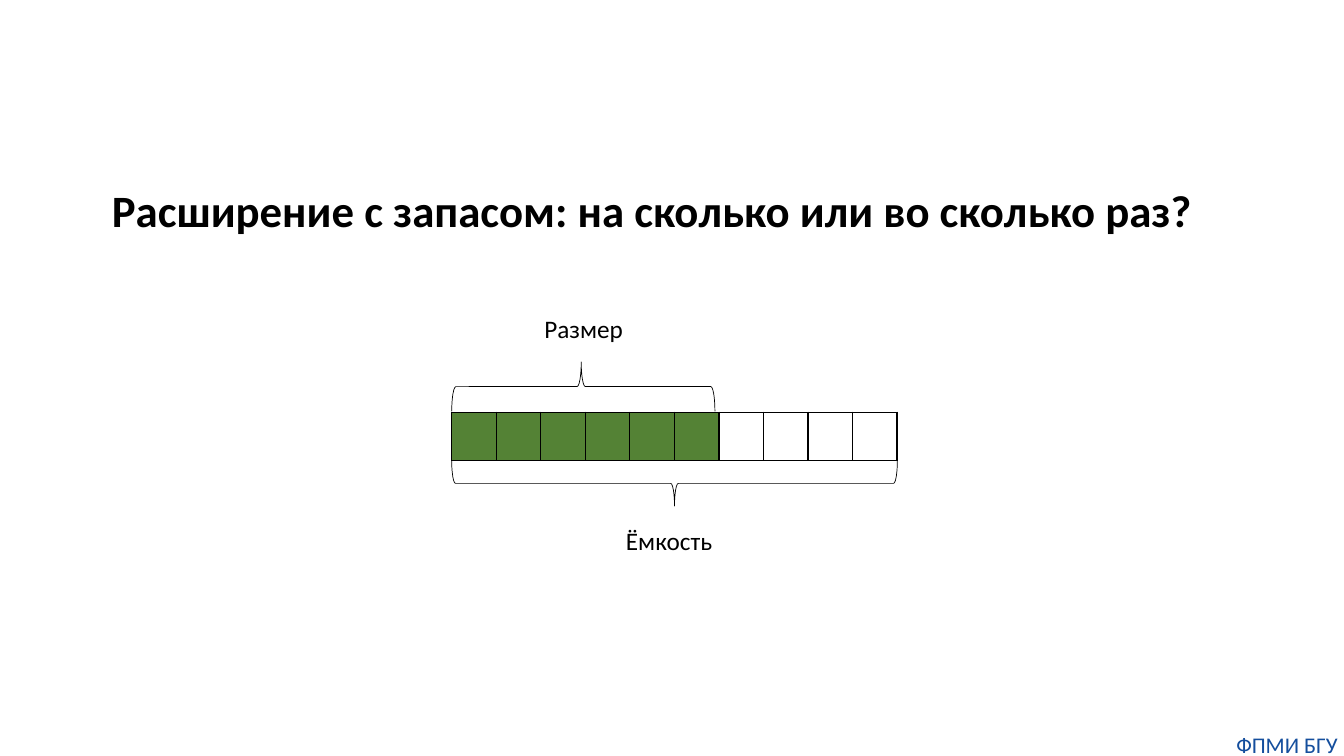
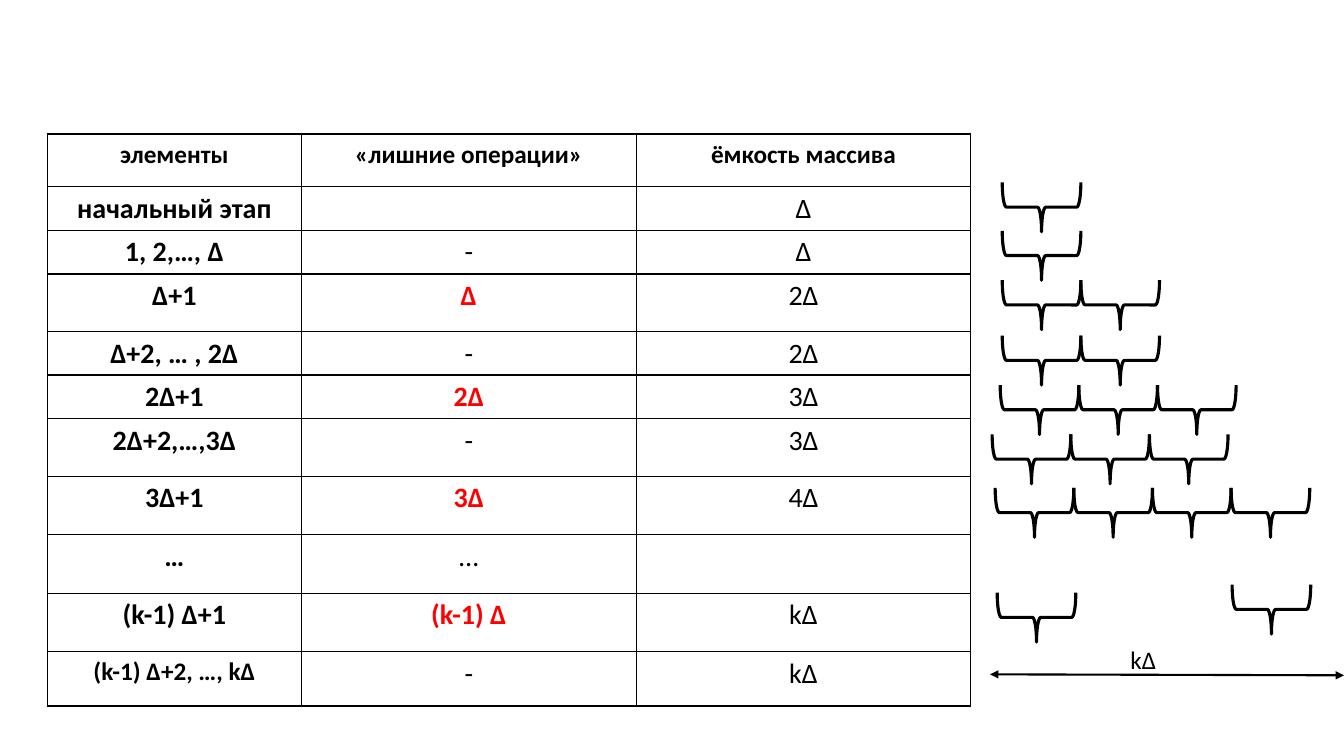
from lxml import etree
from pptx import Presentation
from pptx.dml.color import RGBColor
from pptx.enum.shapes import MSO_CONNECTOR, MSO_SHAPE
from pptx.enum.text import MSO_ANCHOR, MSO_AUTO_SIZE, PP_ALIGN
from pptx.oxml.ns import qn
from pptx.util import Inches, Pt

BLACK = RGBColor(0x00, 0x00, 0x00)
RED = RGBColor(0xFF, 0x00, 0x00)
GREEN = RGBColor(0x54, 0x82, 0x35)
BLUE = RGBColor(0x14, 0x4E, 0x9D)
FONT = "Calibri"
LEFT, CENTER = PP_ALIGN.LEFT, PP_ALIGN.CENTER
TOP = MSO_ANCHOR.TOP
NO_FIT = MSO_AUTO_SIZE.NONE
LINE = MSO_CONNECTOR.STRAIGHT
L_BRACE, R_BRACE = MSO_SHAPE.LEFT_BRACE, MSO_SHAPE.RIGHT_BRACE
TITLE_ONLY, BLANK = 5, 6

HEADS = ("элементы", "«лишние операции»", "ёмкость массива")
STEPS = (
    ("начальный этап", "", "Δ"),
    ("1, 2,…, Δ", "-", "Δ"),
    ("Δ+1", "Δ", "2Δ"),
    ("Δ+2, … , 2Δ", "-", "2Δ"),
    ("2Δ+1", "2Δ", "3Δ"),
    ("2Δ+2,…,3Δ", "-", "3Δ"),
    ("3Δ+1", "3Δ", "4Δ"),
    ("…", "…", ""),
    ("(k-1) Δ+1", "(k-1) Δ", "kΔ"),
    ("(k-1) Δ+2, …, kΔ", "-", "kΔ"),
)
COLS = (2.52, 3.32, 3.32)
ROWS = (0.52, 0.41, 0.41, 0.57, 0.41, 0.41, 0.57, 0.58, 0.58, 0.58, 0.54)
# Left, top and number of the braces in each row, within their region
BLOCKS = (
    (0.12, 0, 1), (0.12, 0.48, 1), (0.12, 0.97, 2), (0.12, 1.52, 2),
    (0.1, 2.01, 3), (0.02, 2.5, 3), (0.05, 3.03, 4),
    (0.07, 4.07, 1), (2.4, 3.99, 1),
)


def style(frame, text, size, color=BLACK, bold=False, align=LEFT):
    frame.text = text
    para = frame.paragraphs[0]
    para.alignment = align
    for run in para.runs:
        font = run.font
        font.name, font.size, font.bold = FONT, Pt(size), bold
        font.color.rgb = color


def label(slide, x, y, w, h, text, size=18, color=BLACK, align=LEFT,
          inset=None):
    box = slide.shapes.add_textbox(Inches(x), Inches(y), Inches(w), Inches(h))
    frame = box.text_frame
    frame.word_wrap = False
    if inset is not None:
        frame.margin_left = frame.margin_right = Inches(inset)
        frame.margin_top = frame.margin_bottom = Inches(inset)
    style(frame, text, size, color, align=align)


def brace(slide, kind, turn, x, y, w, h, width):
    """Place a brace turned on its side so that it covers the given box."""
    shape = slide.shapes.add_shape(
        kind, Inches(x + (w - h) / 2), Inches(y + (h - w) / 2),
        Inches(h), Inches(w))
    shape.rotation = turn
    shape.shadow.inherit = False
    shape.fill.background()
    shape.line.color.rgb = BLACK
    shape.line.width = Pt(width)
    return shape


def border(cell):
    props = cell._tc.get_or_add_tcPr()
    for side in ("lnL", "lnR", "lnT", "lnB"):
        line = etree.SubElement(props, qn("a:" + side), w=str(Pt(1)))
        fill = etree.SubElement(line, qn("a:solidFill"))
        etree.SubElement(fill, qn("a:srgbClr"), val=str(BLACK))


def grid(slide, x, y, cols, rows):
    """Add a plain table with thin black borders."""
    table = slide.shapes.add_table(
        len(rows), len(cols), Inches(x), Inches(y),
        Inches(sum(cols)), Inches(sum(rows))).table
    table.first_row = table.horz_banding = False
    for col, width in zip(table.columns, cols):
        col.width = Inches(width)
    for row, height in zip(table.rows, rows):
        row.height = Inches(height)
    for cell in table.iter_cells():
        border(cell)
        cell.fill.background()
    return table


def array(slide, x, y, w, h, count, used):
    """Draw an array with braces for its size and its capacity."""
    table = grid(slide, x, y, [w / count] * count, [h])
    for i in range(used):
        fill = table.cell(0, i).fill
        fill.solid()
        fill.fore_color.rgb = GREEN
    brace(slide, L_BRACE, 270, x, y + h, w, 0.45, 0.5)
    size = brace(slide, L_BRACE, 90, x, y - 0.5, 2.61, 0.49, 0.5)
    size.adjustments[1] = 0.508
    label(slide, x + 1.63, y + 1.07, 1.07, 0.4, "Ёмкость")
    label(slide, x + 0.82, y - 1.03, 0.99, 0.4, "Размер")


def steps(slide, x, y):
    """Fill the table of operations."""
    table = grid(slide, x, y, COLS, ROWS)
    for r, texts in enumerate((HEADS, *STEPS)):
        for c, text in enumerate(texts):
            cost = c == 1 and r > 0 and text not in ("", "-", "…")
            small = r == 0 or (c == 0 and r == len(STEPS))
            style(table.cell(r, c).text_frame, text, 18 if small else 20,
                  RED if cost else BLACK, r == 0 or c == 0 or cost, CENTER)


def growth(slide, x, y, w):
    """Draw the blocks of the array after each step and its full span."""
    step = 0.78
    for left, top, count in BLOCKS:
        for i in range(count):
            brace(slide, R_BRACE, 90, x + left + i * step, y + top,
                  step, 0.49, 2.25)
    span = slide.shapes.add_connector(
        LINE, Inches(x), Inches(y + 4.88), Inches(x + w), Inches(y + 4.89))
    span.line.color.rgb = BLACK
    span.line.width = Pt(1.5)
    line = span.line._get_or_add_ln()
    for end in ("headEnd", "tailEnd"):
        etree.SubElement(line, qn("a:" + end), type="triangle")
    etree.SubElement(span._element.spPr, qn("a:effectLst"))
    label(slide, x + 1.29, y + 4.53, 0.46, 0.4, "kΔ", align=CENTER)


def title(slide, x, y, w, h, text):
    shape = slide.shapes.title
    shape.left, shape.top = Inches(x), Inches(y)
    shape.width, shape.height = Inches(w), Inches(h)
    frame = shape.text_frame
    frame.auto_size, frame.vertical_anchor = NO_FIT, TOP
    style(frame, text, 32, bold=True)


def main():
    deck = Presentation()
    deck.slide_width, deck.slide_height = Inches(13.33), Inches(7.5)

    # Question and array
    slide = deck.slides.add_slide(deck.slide_layouts[TITLE_ONLY])
    title(slide, 1.01, 1.76, 11.3, 0.64,
          "Расширение с запасом: на сколько или во сколько раз?")
    array(slide, 4.48, 4.09, 4.42, 0.48, 10, 6)
    label(slide, 12.2, 7.25, 1.13, 0.27, "ФПМИ БГУ", 16, BLUE, CENTER, 0)

    # Growth by a fixed step
    slide = deck.slides.add_slide(deck.slide_layouts[BLANK])
    steps(slide, 0.47, 1.33)
    growth(slide, 9.82, 1.81, 3.51)

    deck.save("out.pptx")


if __name__ == "__main__":
    main()
